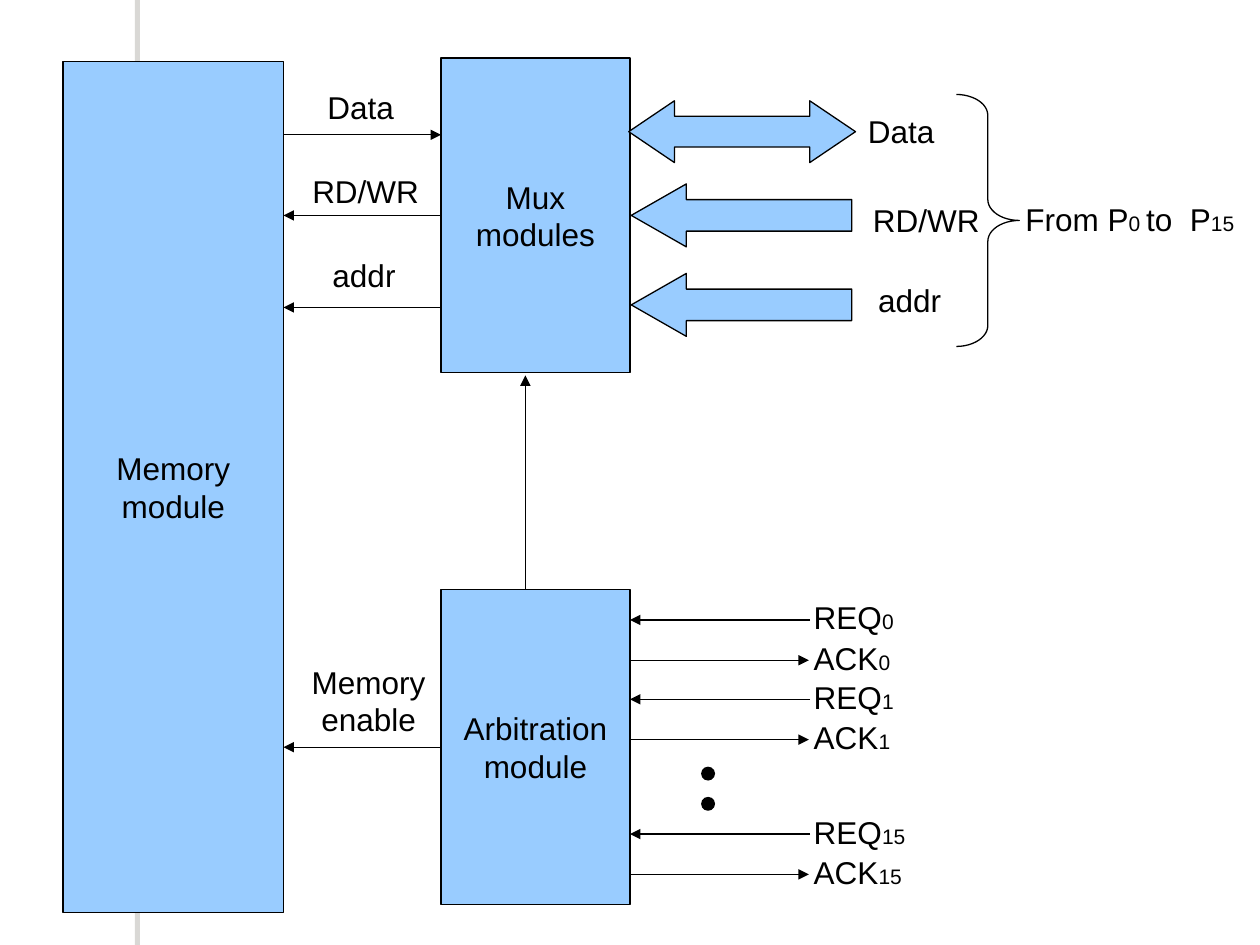
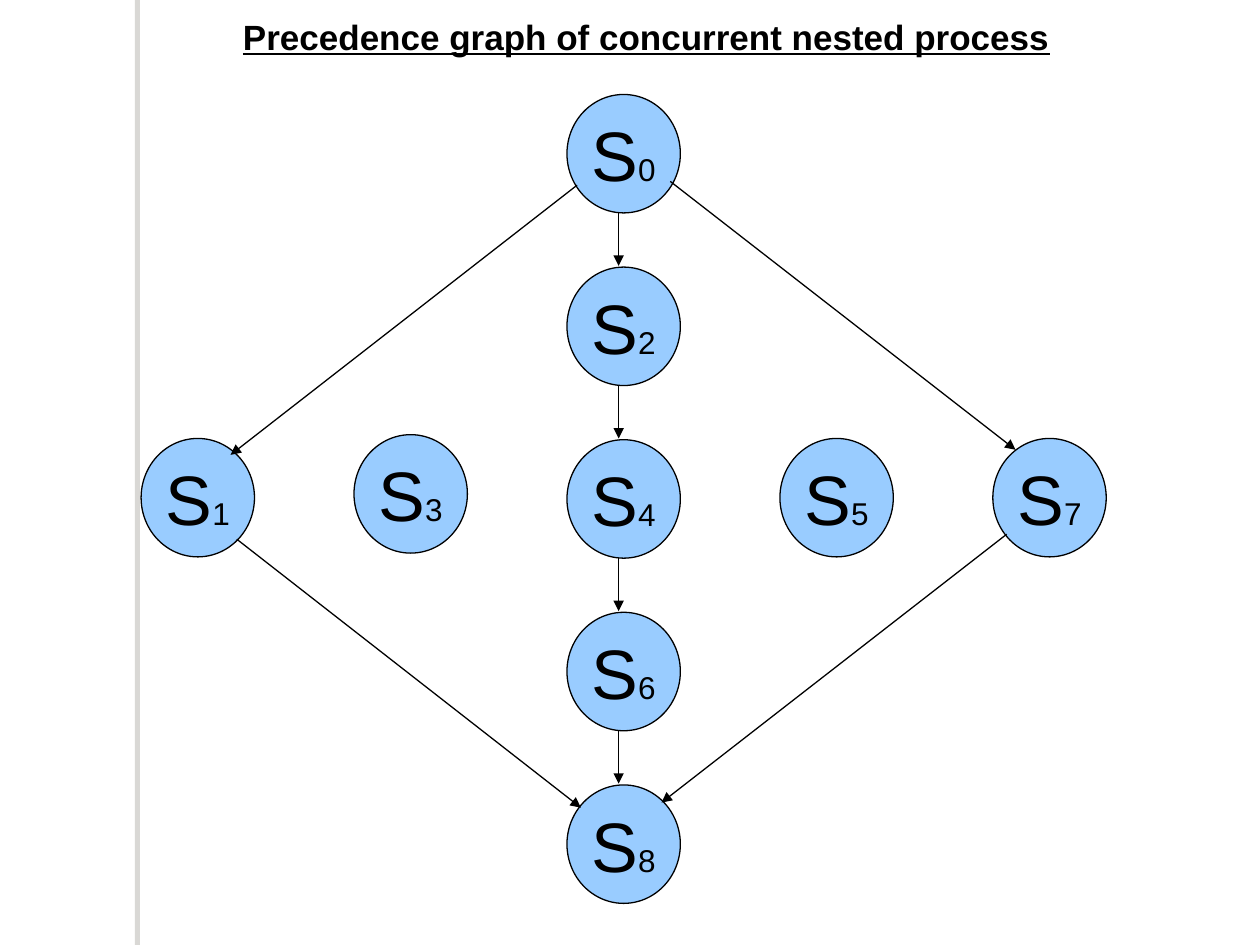
from lxml.etree import SubElement
from pptx import Presentation
from pptx.dml.color import RGBColor
from pptx.enum.shapes import MSO_CONNECTOR, MSO_SHAPE
from pptx.enum.text import MSO_ANCHOR, PP_ALIGN
from pptx.oxml.ns import qn
from pptx.util import Inches, Pt

BLACK = RGBColor(0x00, 0x00, 0x00)
BLUE = RGBColor(0x99, 0xCC, 0xFF)
BAND_GRAY = RGBColor(0xD9, 0xD8, 0xD5)
FONT = "Arial"
LINE_WIDTH = Pt(0.75)
TEXT_SIZE, SUBSCRIPT_SIZE = 18, 12
NODE_SIZE = 40
TITLE_ONLY, BLANK = 5, 6


def add_slide(presentation, layout_index):
    """Add a slide with the shared vertical band."""
    slide = presentation.slides.add_slide(presentation.slide_layouts[layout_index])
    band = add_shape(slide, MSO_SHAPE.RECTANGLE, 1.07, 0, 0.04, 7.5, BAND_GRAY)
    band.line.fill.background()
    return slide


def add_shape(slide, kind, left, top, width, height, fill=BLUE, adjustments=()):
    shape = slide.shapes.add_shape(
        kind, Inches(left), Inches(top), Inches(width), Inches(height))
    shape.shadow.inherit = False
    if fill is None:
        shape.fill.background()
    else:
        shape.fill.solid()
        shape.fill.fore_color.rgb = fill
    shape.line.color.rgb = BLACK
    shape.line.width = LINE_WIDTH
    for index, value in enumerate(adjustments):
        shape.adjustments[index] = value
    return shape


def add_runs(paragraph, runs):
    """Fill a paragraph from (text, size) pairs."""
    for text, size in runs:
        run = paragraph.add_run()
        run.text = text
        run.font.name = FONT
        run.font.size = Pt(size)
        run.font.color.rgb = BLACK


def write_centered(text_frame, text):
    text_frame.text = text
    for paragraph in text_frame.paragraphs:
        paragraph.alignment = PP_ALIGN.CENTER
        for run in paragraph.runs:
            run.font.name = FONT
            run.font.size = Pt(TEXT_SIZE)
            run.font.color.rgb = BLACK


def add_module(slide, left, top, width, height, text):
    module = add_shape(slide, MSO_SHAPE.RECTANGLE, left, top, width, height)
    module.text_frame.word_wrap = False
    module.text_frame.vertical_anchor = MSO_ANCHOR.MIDDLE
    write_centered(module.text_frame, text)
    return module


def add_text_box(slide, left, top, width, height=0.4):
    box = slide.shapes.add_textbox(
        Inches(left), Inches(top), Inches(width), Inches(height))
    box.text_frame.word_wrap = True
    return box.text_frame


def add_label(slide, left, top, width, *runs):
    add_runs(add_text_box(slide, left, top, width).paragraphs[0], runs)


def add_node(slide, left, top, number):
    node = add_shape(slide, MSO_SHAPE.OVAL, left, top, 0.9, 0.94)
    node.text_frame.word_wrap = False
    node.text_frame.vertical_anchor = MSO_ANCHOR.MIDDLE
    paragraph = node.text_frame.paragraphs[0]
    paragraph.alignment = PP_ALIGN.CENTER
    add_runs(paragraph, [("S", NODE_SIZE), (str(number), TEXT_SIZE)])


def add_arrow(slide, start, end):
    arrow = slide.shapes.add_connector(
        MSO_CONNECTOR.STRAIGHT, *(Inches(value) for value in (*start, *end)))
    arrow.line.color.rgb = BLACK
    arrow.line.width = LINE_WIDTH
    SubElement(arrow.line._get_or_add_ln(), qn("a:tailEnd"), type="triangle")
    SubElement(arrow._element.spPr, qn("a:effectLst"))
    return arrow


def add_title(slide, text):
    title = slide.shapes.title
    title.left, title.top = Inches(0.38), Inches(0.07)
    title.width, title.height = Inches(9.5), Inches(0.44)
    title.text_frame.text = text
    title.text_frame.vertical_anchor = MSO_ANCHOR.TOP
    paragraph = title.text_frame.paragraphs[0]
    paragraph.alignment = PP_ALIGN.CENTER
    font = paragraph.runs[0].font
    font.name, font.size = FONT, Pt(20)
    font.bold = font.underline = True
    font.color.rgb = BLACK


def build_memory_slide(presentation):
    slide = add_slide(presentation, BLANK)
    add_arrow(slide, (4.17, 4.68), (4.17, 2.98))
    add_module(slide, 0.5, 0.49, 1.75, 6.75, "Memory\nmodule")
    mux = add_module(slide, 3.5, 0.46, 1.5, 2.5, "Mux\nmodules")
    arbitration = add_module(slide, 3.5, 4.68, 1.5, 2.5, "Arbitration\nmodule")

    add_arrow(slide, (2.25, 1.07), (3.5, 1.07))
    add_arrow(slide, (3.5, 1.71), (2.25, 1.71)).begin_connect(mux, 1)
    add_arrow(slide, (3.5, 2.44), (2.25, 2.44))
    add_arrow(slide, (3.5, 5.93), (2.25, 5.93)).begin_connect(arbitration, 1)
    write_centered(add_text_box(slide, 2.3, 5.21, 1.25, 0.7), "Memory\nenable")

    add_shape(slide, MSO_SHAPE.LEFT_RIGHT_ARROW, 4.99, 0.8, 1.8, 0.49,
              adjustments=(0.5, 0.74))
    for top in (1.46, 2.17):
        add_shape(slide, MSO_SHAPE.LEFT_ARROW, 5.01, top, 1.75, 0.5,
                  adjustments=(0.5, 0.875))
    add_shape(slide, MSO_SHAPE.RIGHT_BRACE, 7.59, 0.75, 0.5, 2, fill=None,
              adjustments=(0.333, 0.5))

    for text, inner, outer in (
            ("Data", (2.5, 0.65), (6.79, 0.84)),
            ("RD/WR", (2.38, 1.32), (6.83, 1.55)),
            ("addr", (2.54, 1.98), (6.87, 2.18))):
        for position in (inner, outer):
            add_label(slide, *position, 1.25, (text, TEXT_SIZE))
    add_label(slide, 8.04, 1.54, 1.96,
              ("From P", TEXT_SIZE), ("0 ", SUBSCRIPT_SIZE),
              ("to  P", TEXT_SIZE), ("15", SUBSCRIPT_SIZE))

    for number, request_y in ((0, 4.92), (1, 5.55), (15, 6.62)):
        acknowledge_y = request_y + 0.32
        add_arrow(slide, (6.43, request_y), (5, request_y))
        add_arrow(slide, (5, acknowledge_y), (6.42, acknowledge_y))
        for text, y in (("REQ", request_y), ("ACK", acknowledge_y)):
            add_label(slide, 6.36, y - 0.22, 1.25,
                      (text, TEXT_SIZE), (str(number), SUBSCRIPT_SIZE))
    for top in (6.09, 6.33):
        add_shape(slide, MSO_SHAPE.OVAL, 5.57, top, 0.1, 0.1, fill=BLACK)


def build_precedence_slide(presentation):
    slide = add_slide(presentation, TITLE_ONLY)
    add_title(slide, "Precedence graph of concurrent nested process")

    column_left, column_top, row_step = 4.5, 0.75, 1.37
    row_left, row_top, column_step = 1.12, 3.48, 1.69
    for step in range(4):
        start_y = 1.64 + step * row_step
        add_arrow(slide, (4.91, start_y), (4.91, start_y + 0.47))
    for row, number in enumerate((0, 2, 4, 6, 8)):
        add_node(slide, column_left, column_top + row * row_step, number)
    for column, number in ((0, 1), (3, 5), (4, 7)):
        add_node(slide, row_left + column * column_step, row_top, number)
    add_node(slide, row_left + column_step, 3.45, 3)

    for start, end in (
            ((4.58, 1.47), (1.83, 3.61)),
            ((5.32, 1.44), (8.06, 3.57)),
            ((1.88, 4.28), (4.61, 6.41)),
            ((7.99, 4.24), (5.25, 6.37))):
        add_arrow(slide, start, end)


def main():
    presentation = Presentation()
    presentation.slide_width = Inches(10)
    presentation.slide_height = Inches(7.5)
    build_memory_slide(presentation)
    build_precedence_slide(presentation)
    presentation.save("out.pptx")


if __name__ == "__main__":
    main()
